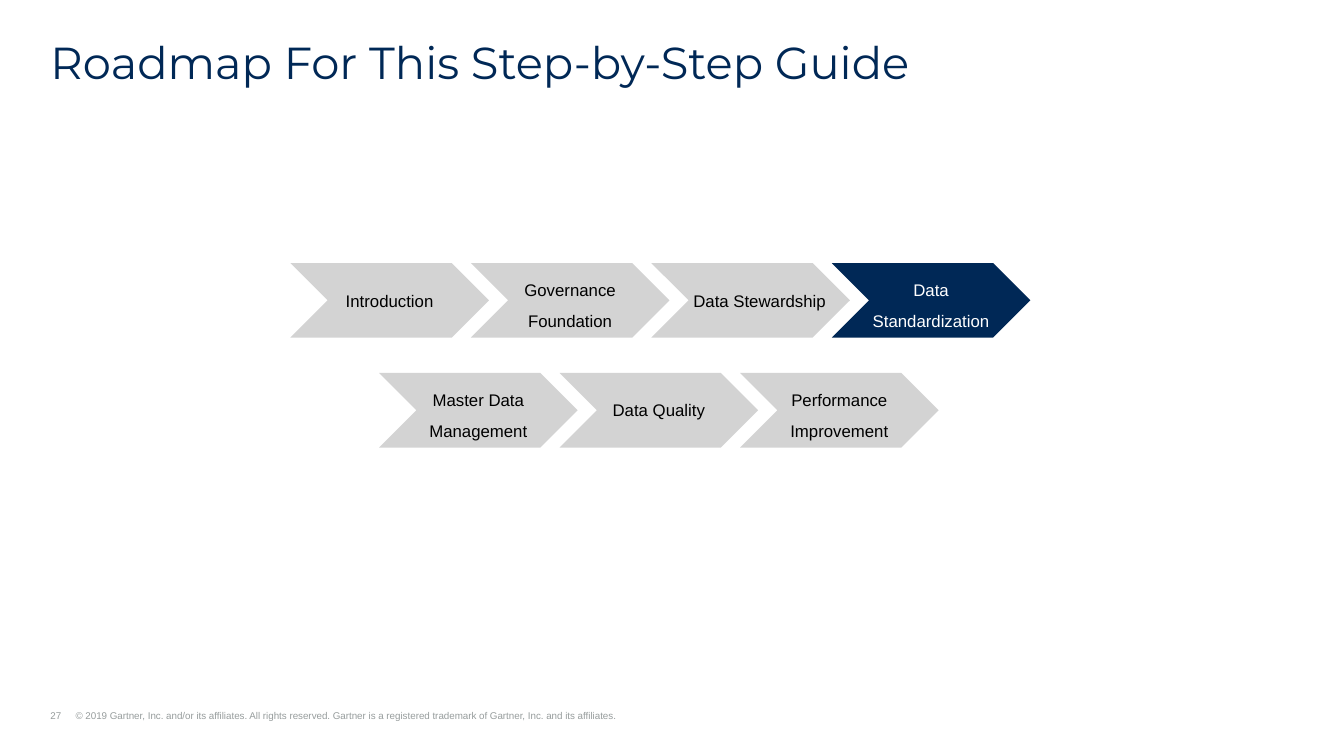
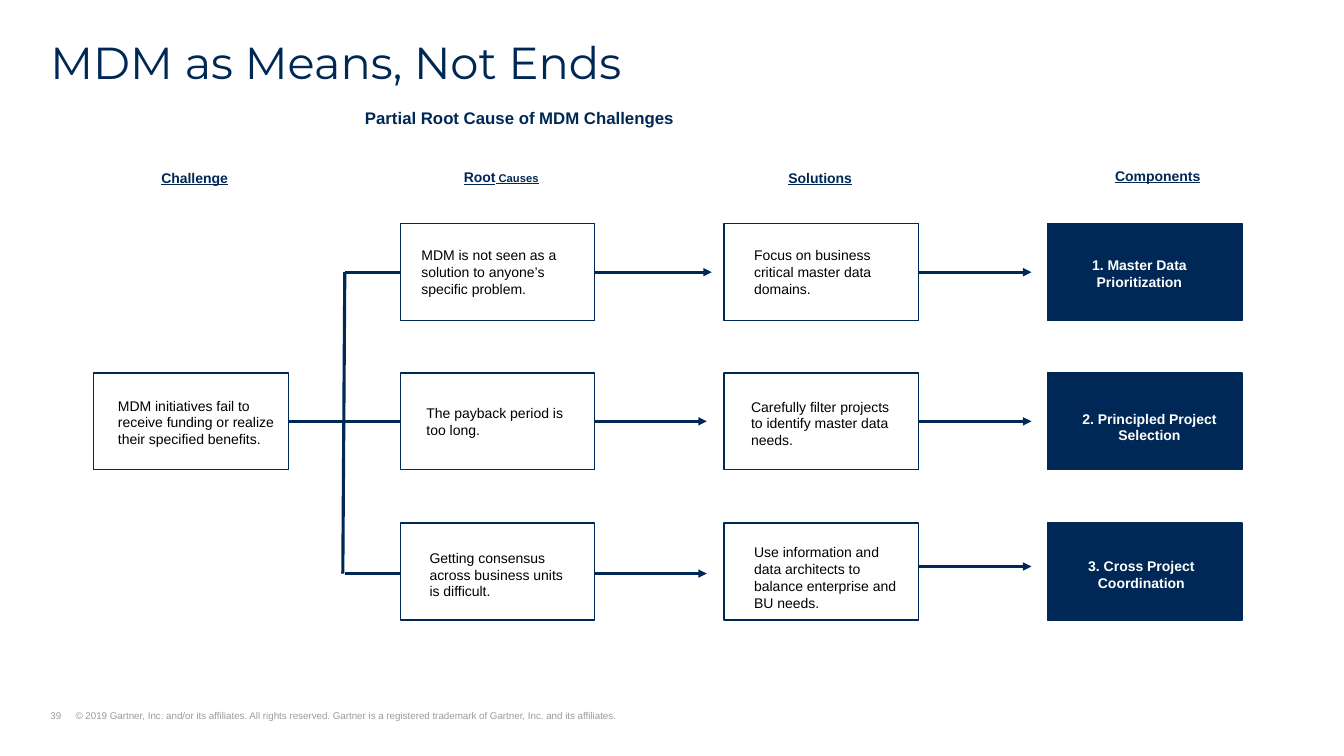
from dataclasses import dataclass

from lxml.etree import SubElement
from pptx import Presentation
from pptx.dml.color import RGBColor
from pptx.enum.shapes import MSO_CONNECTOR, MSO_SHAPE
from pptx.enum.text import MSO_ANCHOR, MSO_AUTO_SIZE, PP_ALIGN
from pptx.oxml.ns import qn
from pptx.util import Pt


@dataclass(frozen=True)
class Theme:
    """Colours, fonts and type sizes shared by the slides."""

    navy: str = "002856"
    grey: str = "D3D3D3"
    muted: str = "979D9D"
    black: str = "000000"
    white: str = "FFFFFF"
    title_font: str = "Montserrat"
    text_font: str = "Arial"
    title_size: int = 32
    label_size: int = 12
    body_size: int = 10
    small_size: int = 8
    footer_size: int = 7


THEME = Theme()
SCALE = 9144
SLIDE_SIZE = (1333, 750)
COPYRIGHT = (
    "© 2019 Gartner, Inc. and/or its affiliates. All rights reserved. "
    "Gartner is a registered trademark of Gartner, Inc. and its affiliates."
)
STAGE_WIDTH, STAGE_HEIGHT, STAGE_STEP = 197, 74, 179
BOX_WIDTH, BOX_HEIGHT = 193, 96
ROW_TOPS = (222, 370, 519)
CHALLENGE_LEFT, CAUSE_LEFT, COLUMN_STEP = 93, 397, 321
SPINE_X = 342

STAGE_ROWS = (
    (288, 261, ("Introduction", "Governance Foundation", "Data Stewardship", "Data\nStandardization")),
    (376, 370, ("Master Data Management", "Data Quality", "Performance Improvement")),
)
ONE_LINE_STAGES = {"Introduction": 0, "Data Stewardship": 18, "Data Quality": 0}
CURRENT_STAGE = "Data\nStandardization"

CHALLENGE = ("MDM initiatives fail to receive funding or realize their specified benefits.", (24, 2, 0))
CAUSES = (
    ("MDM is not seen as a solution to anyone’s specific problem.", (21, 0, 27)),
    ("The payback period is too long.", (26, 1, 22)),
    ("Getting consensus across business units is difficult.", (29, 6, 19)),
)
SOLUTIONS = (
    ("Focus on business critical master data domains.", (30, 0, 18)),
    ("Carefully filter projects to identify master data needs.", (27, 4, 21)),
    ("Use information and data architects to balance enterprise and BU needs.", (30, 12, 18)),
)
COMPONENTS = (
    ("1. Master Data Prioritization", (0, 3, 11)),
    ("2. Principled Project Selection", (9, 11, 0)),
    ("3. Cross Project Coordination", (0, 5, 7)),
)
CAUSE_ARROW_TIPS = ((706, 270), (701, 418), (701, 569))
SOLUTION_ARROW_TIPS = ((1023, 270), (1023, 418), (1023, 562))
HEADINGS = (
    ("Challenge", 160, 168),
    ("Root", 460, 167),
    ("Solutions", 782, 168),
    ("Components", 1106, 166),
)


def px(length):
    """Turn a length in px into EMU."""
    return length * SCALE


def apply(target, formats):
    """Set each format value on the target."""
    for attribute, value in formats.items():
        setattr(target, attribute, value)


def add_run(paragraph, text, color, size, **formats):
    """Add a run in the given colour and size."""
    run = paragraph.add_run()
    run.text = text
    apply(run.font, {"name": THEME.text_font, "size": Pt(size), **formats})
    run.font.color.rgb = RGBColor.from_string(color)


def write(frame, text, color, size, insets=(0, 0, 0), layout=None, paragraph_formats=None, **font):
    """Write one paragraph per line of text into a frame."""
    left, top, right = insets
    margins = {"margin_left": px(left), "margin_top": px(top), "margin_right": px(right), "margin_bottom": 0}
    base = {"word_wrap": True, "auto_size": MSO_AUTO_SIZE.NONE, "vertical_anchor": MSO_ANCHOR.TOP}
    apply(frame, {**base, **margins, **(layout or {})})
    for index, line in enumerate(text.split("\n")):
        paragraph = frame.add_paragraph() if index else frame.paragraphs[0]
        apply(paragraph, {"alignment": PP_ALIGN.LEFT, **(paragraph_formats or {})})
        add_run(paragraph, line, color, size, **font)


def add_text(slide, text, place, color, size, **formats):
    """Add a text box and return its frame."""
    frame = slide.shapes.add_textbox(*map(px, place)).text_frame
    write(frame, text, color, size, **formats)
    return frame


def add_footer(slide, number):
    """Add the page number and the copyright line."""
    frame = add_text(
        slide, f"{number}\t{COPYRIGHT}", (50, 704, 799, 12), THEME.muted, THEME.footer_size,
        layout={"vertical_anchor": MSO_ANCHOR.BOTTOM},
    )
    properties = frame.paragraphs[0]._p.get_or_add_pPr()
    properties.set("marL", str(px(25)))
    properties.set("indent", str(-px(25)))
    stops = SubElement(properties, qn("a:tabLst"))
    SubElement(stops, qn("a:tab"), pos=str(px(25)), algn="l")


def add_slide(presentation, title, number):
    """Add a slide with its title and footer."""
    slide = presentation.slides.add_slide(presentation.slide_layouts[5])
    heading = slide.shapes.title
    apply(heading, {"left": px(50), "top": px(40), "width": px(1233), "height": px(48)})
    write(
        heading.text_frame, title, THEME.navy, THEME.title_size, name=THEME.title_font,
        paragraph_formats={"line_spacing": 0.9, "space_after": Pt(12)},
    )
    add_footer(slide, number)
    return slide


def add_panel(shapes, kind, place, fill=None, outline=None):
    """Add a flat preset shape."""
    panel = shapes.add_shape(kind, *map(px, place))
    panel.shadow.inherit = False
    for part, color in ((panel.fill, fill), (panel.line.fill, outline)):
        if color:
            part.solid()
            part.fore_color.rgb = RGBColor.from_string(color)
        else:
            part.background()
    if outline:
        panel.line.width = Pt(1)
    return panel


def add_stage(shapes, label, left, top):
    """Add one roadmap chevron."""
    current = label == CURRENT_STAGE
    one_line = label in ONE_LINE_STAGES
    chevron = add_panel(
        shapes, MSO_SHAPE.CHEVRON, (left, top, STAGE_WIDTH, STAGE_HEIGHT),
        THEME.navy if current else THEME.grey,
    )
    write(
        chevron.text_frame, label, THEME.white if current else THEME.black, THEME.label_size,
        insets=(ONE_LINE_STAGES.get(label, 0), 0, 0),
        layout={"vertical_anchor": MSO_ANCHOR.MIDDLE, "word_wrap": not one_line},
        paragraph_formats={"alignment": PP_ALIGN.CENTER, "line_spacing": 1.0 if one_line else Pt(22)},
    )


def add_box(slide, entry, left, top, filled=False):
    """Add one outlined or filled box with its text."""
    text, insets = entry
    box = add_panel(
        slide.shapes, MSO_SHAPE.RECTANGLE, (left, top, BOX_WIDTH, BOX_HEIGHT),
        THEME.navy if filled else None, THEME.navy,
    )
    write(
        box.text_frame, text, THEME.white if filled else THEME.black, THEME.body_size,
        insets=insets, layout={"vertical_anchor": MSO_ANCHOR.MIDDLE},
        paragraph_formats={"alignment": PP_ALIGN.CENTER if filled else PP_ALIGN.LEFT}, bold=filled,
    )
    return box


def add_column(slide, entries, left, filled=False):
    """Add a column of boxes, one for each row."""
    return [add_box(slide, entry, left, top, filled) for entry, top in zip(entries, ROW_TOPS)]


def add_link(slide, start, end, start_box=None, end_box=None, arrow=False):
    """Add a line, joined to a box wherever it meets the middle of a side."""
    link = slide.shapes.add_connector(MSO_CONNECTOR.STRAIGHT, *map(px, (*start, *end)))
    link.line.color.rgb = RGBColor.from_string(THEME.navy)
    link.line.width = Pt(2 if arrow else 2.25)
    if arrow:
        SubElement(link.line._get_or_add_ln(), qn("a:tailEnd"), type="triangle")
    SubElement(link._element.spPr, qn("a:effectLst"))
    for box, point, join, side in (
        (start_box, start, link.begin_connect, 3),
        (end_box, end, link.end_connect, 1),
    ):
        if box is not None and box.top + box.height // 2 == px(point[1]):
            join(box, side)


def add_arrows(slide, boxes, left, tips):
    """Add an arrow from the right side of each box to its tip."""
    for box, tip in zip(boxes, tips):
        add_link(slide, (left + BOX_WIDTH, tip[1]), tip, start_box=box, arrow=True)


def build_roadmap(presentation):
    """Build the roadmap slide."""
    slide = add_slide(presentation, "Roadmap For This Step-by-Step Guide", 27)
    for left, top, labels in STAGE_ROWS:
        row = slide.shapes.add_group_shape()
        for index, label in enumerate(labels):
            add_stage(row.shapes, label, left + index * STAGE_STEP, top)


def build_root_causes(presentation):
    """Build the root cause slide."""
    slide = add_slide(presentation, "MDM as Means, Not Ends", 39)
    add_text(
        slide, "Partial Root Cause of MDM Challenges", (362, 107, 324, 40),
        THEME.navy, THEME.label_size, bold=True,
    )
    for text, left, top in HEADINGS:
        heading = add_text(
            slide, text, (left, top, 104, 17), THEME.navy, THEME.body_size, bold=True, underline=True
        )
        if text == "Root":
            add_run(heading.paragraphs[0], " Causes", THEME.navy, THEME.small_size, bold=True, underline=True)

    solution_left = CAUSE_LEFT + COLUMN_STEP
    challenge = add_box(slide, CHALLENGE, CHALLENGE_LEFT, ROW_TOPS[1])
    causes = add_column(slide, CAUSES, CAUSE_LEFT)
    solutions = add_column(slide, SOLUTIONS, solution_left)
    add_column(slide, COMPONENTS, solution_left + COLUMN_STEP, filled=True)

    add_arrows(slide, causes, CAUSE_LEFT, CAUSE_ARROW_TIPS)
    add_arrows(slide, solutions, solution_left, SOLUTION_ARROW_TIPS)
    top_y, middle_y, bottom_y = (y for _, y in CAUSE_ARROW_TIPS)
    add_link(slide, (CHALLENGE_LEFT + BOX_WIDTH, middle_y), (CAUSE_LEFT, middle_y), challenge, causes[1])
    add_link(slide, (SPINE_X - 2, bottom_y), (SPINE_X, top_y))
    for cause, y in ((causes[0], top_y), (causes[2], bottom_y)):
        add_link(slide, (SPINE_X, y), (CAUSE_LEFT, y), end_box=cause)


def main():
    """Build and save the presentation."""
    presentation = Presentation()
    presentation.slide_width, presentation.slide_height = map(px, SLIDE_SIZE)
    build_roadmap(presentation)
    build_root_causes(presentation)
    presentation.save("out.pptx")


if __name__ == "__main__":
    main()
